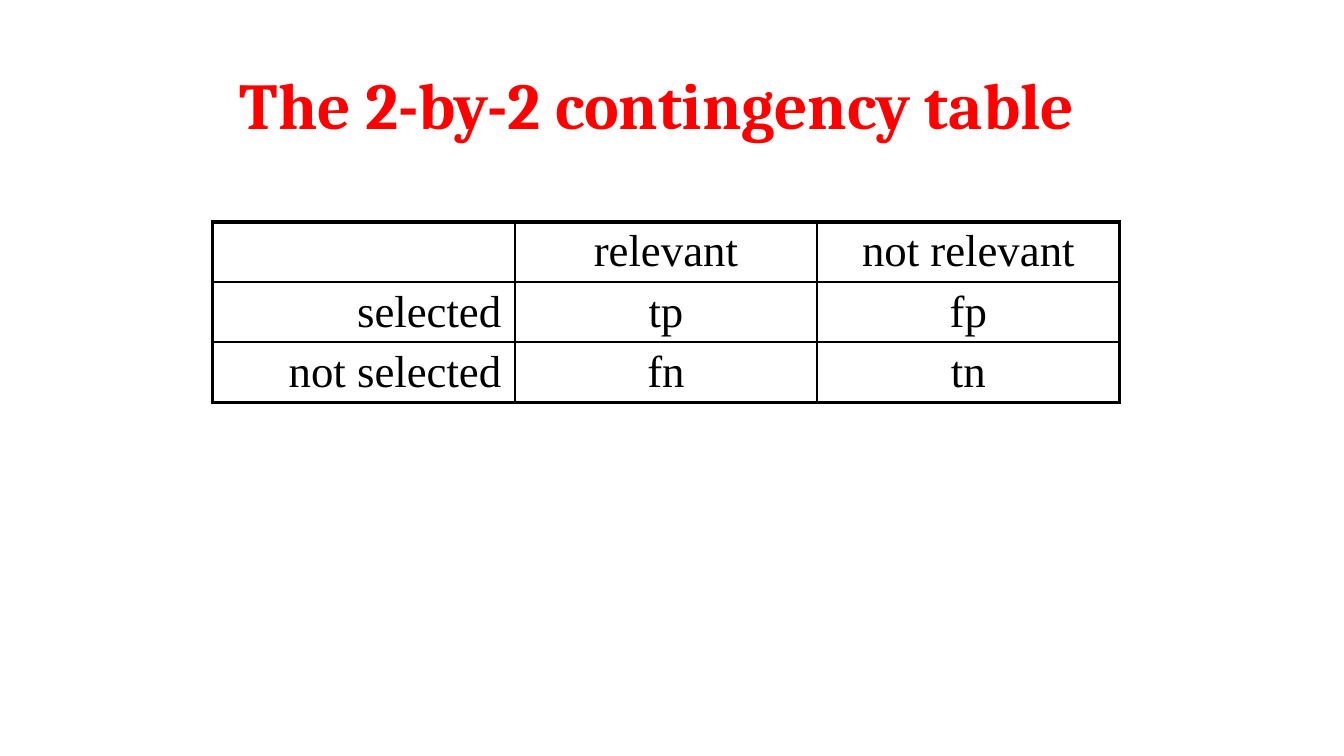
from dataclasses import dataclass

from lxml.etree import SubElement
from pptx import Presentation
from pptx.dml.color import RGBColor
from pptx.enum.text import MSO_ANCHOR as Anchor, PP_ALIGN as Align
from pptx.oxml.ns import qn
from pptx.table import _Cell as Cell
from pptx.text.text import _Paragraph as Paragraph
from pptx.util import Inches, Pt

BLACK = "000000"
RED = "FF0000"
OUTER_LINE = 2.25
INNER_LINE = 1


@dataclass(frozen=True)
class TextStyle:
    font: str
    size: float
    color: str
    bold: bool = False


TITLE_STYLE = TextStyle("Cambria", 35, RED, True)
CELL_STYLE = TextStyle("Times New Roman", 24, BLACK)
CONTINGENCY = [
    ["", "relevant", "not relevant"],
    ["selected", "tp", "fp"],
    ["not selected", "fn", "tn"],
]


def rgb(color: str) -> RGBColor:
    return RGBColor.from_string(color)


def style_paragraph(para: Paragraph, style: TextStyle, align: Align) -> None:
    para.alignment = align
    para.font.name = style.font
    para.font.size = Pt(style.size)
    para.font.bold = style.bold
    para.font.color.rgb = rgb(style.color)


def set_borders(cell: Cell, widths: dict[str, float]) -> None:
    properties = cell._tc.get_or_add_tcPr()
    for position, (side, width) in enumerate(widths.items()):
        line = properties.makeelement(qn(f"a:{side}"), {"w": str(Pt(width))})
        properties.insert(position, line)
        fill = SubElement(line, qn("a:solidFill"))
        SubElement(fill, qn("a:srgbClr"), val=BLACK)
        SubElement(line, qn("a:prstDash"), val="solid")


def fill_cell(cell: Cell, text: str, align: Align) -> None:
    cell.fill.background()
    cell.margin_left = cell.margin_right = Inches(0.1)
    cell.margin_top = cell.margin_bottom = Inches(0.04)
    cell.text = text
    style_paragraph(cell.text_frame.paragraphs[0], CELL_STYLE, align)


def border_width(is_outer: bool) -> float:
    return OUTER_LINE if is_outer else INNER_LINE


deck = Presentation()
deck.slide_width = Inches(10)
deck.slide_height = deck.slide_width * 9 // 16
page = deck.slides.add_slide(deck.slide_layouts[5])

title = page.shapes.title
title.left, title.top = Inches(0.28), Inches(0.43)
title.width, title.height = Inches(9.22), Inches(0.77)
title.text_frame.text = "The 2-by-2 contingency table"
title.text_frame.vertical_anchor = Anchor.TOP
style_paragraph(title.text_frame.paragraphs[0], TITLE_STYLE, Align.CENTER)

row_count, column_count = len(CONTINGENCY), len(CONTINGENCY[0])
table = page.shapes.add_table(
    row_count, column_count,
    Inches(1.58), Inches(1.65),
    Inches(2.25 * column_count), Inches(0.4 * row_count),
).table
table.first_row = table.horz_banding = False

for row, labels in enumerate(CONTINGENCY):
    for column, label in enumerate(labels):
        cell = table.cell(row, column)
        fill_cell(cell, label, Align.CENTER if column else Align.RIGHT)
        set_borders(cell, {
            "lnL": border_width(column == 0),
            "lnR": border_width(column == column_count - 1),
            "lnT": border_width(row == 0),
            "lnB": border_width(row == row_count - 1),
        })

deck.save("out.pptx")
